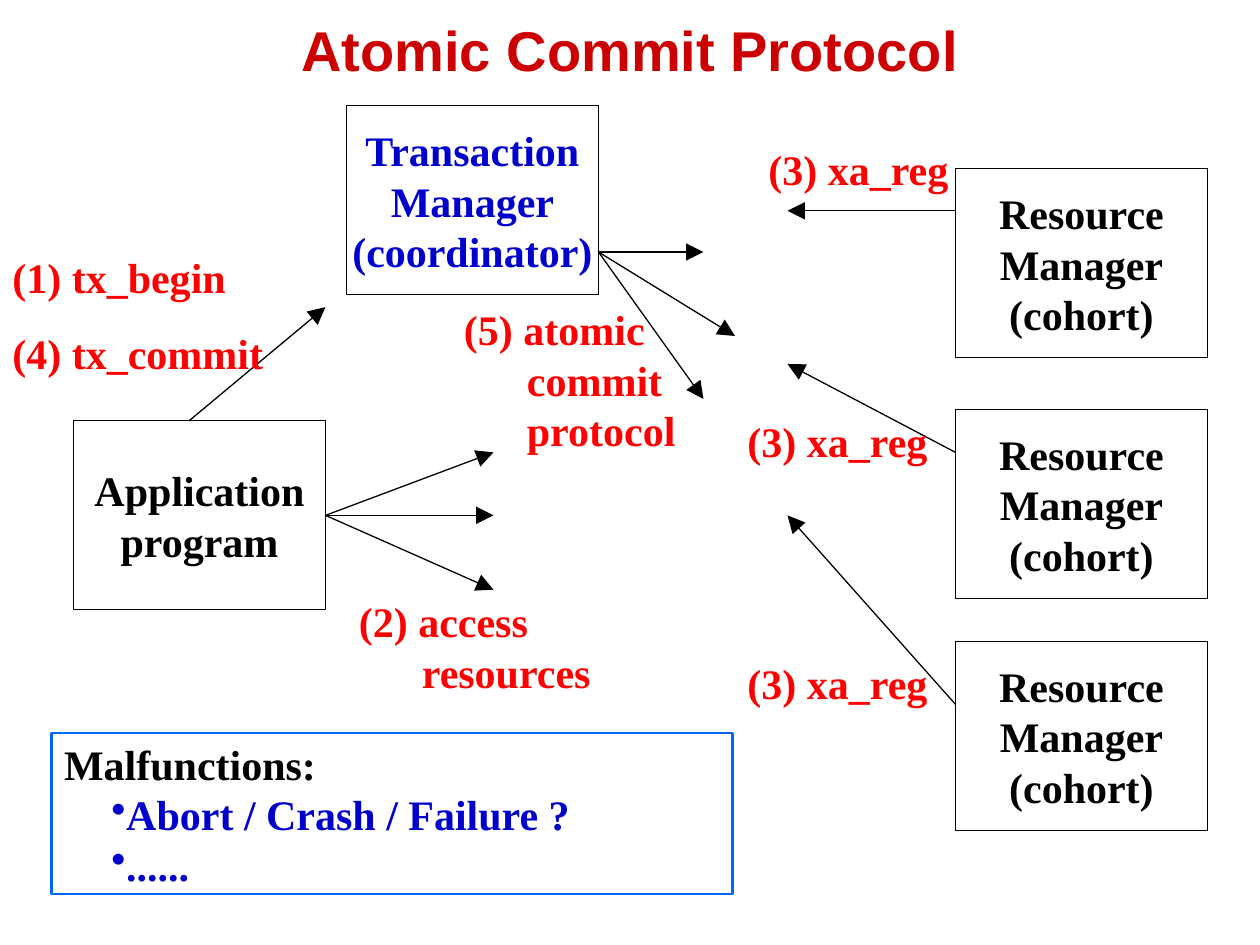
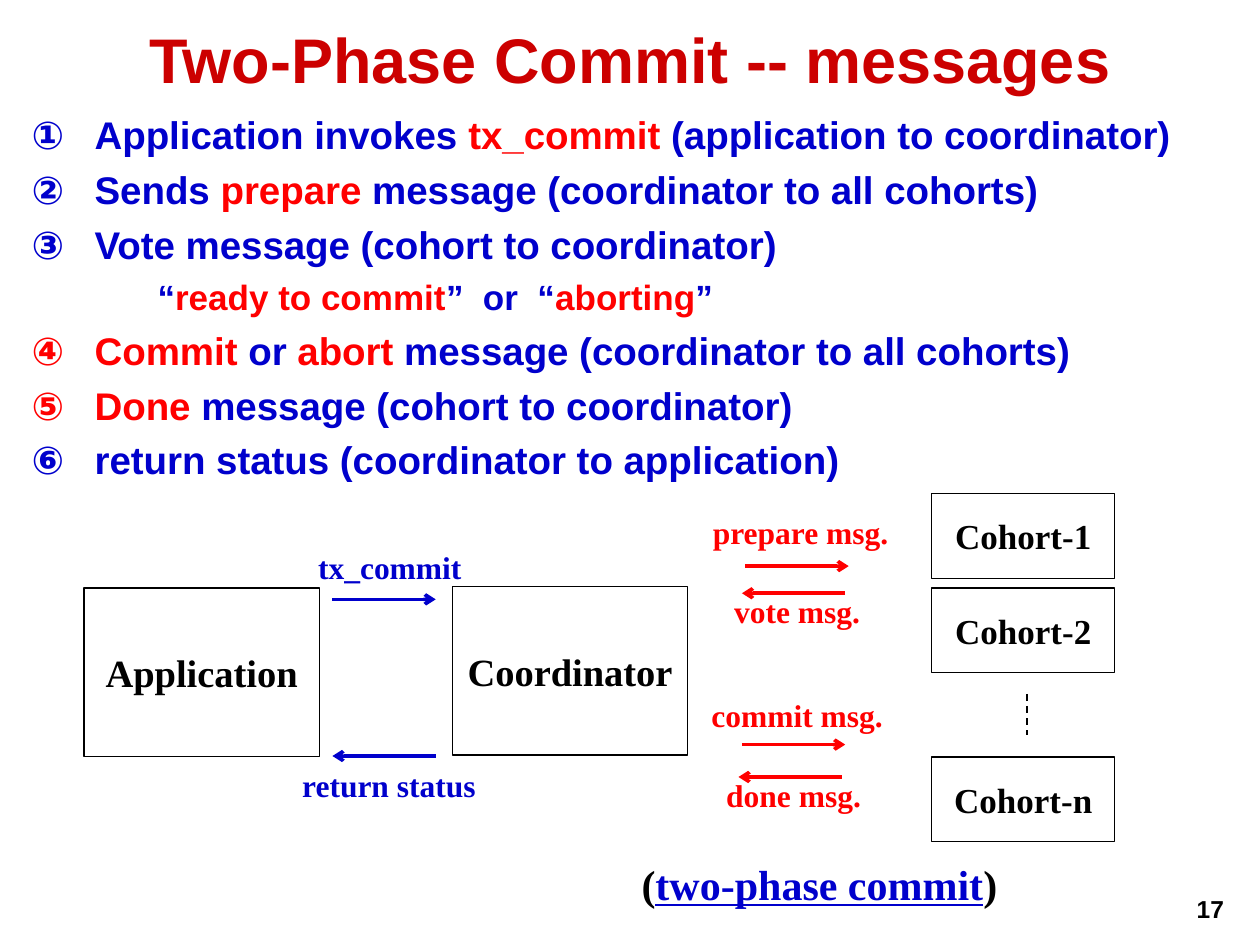
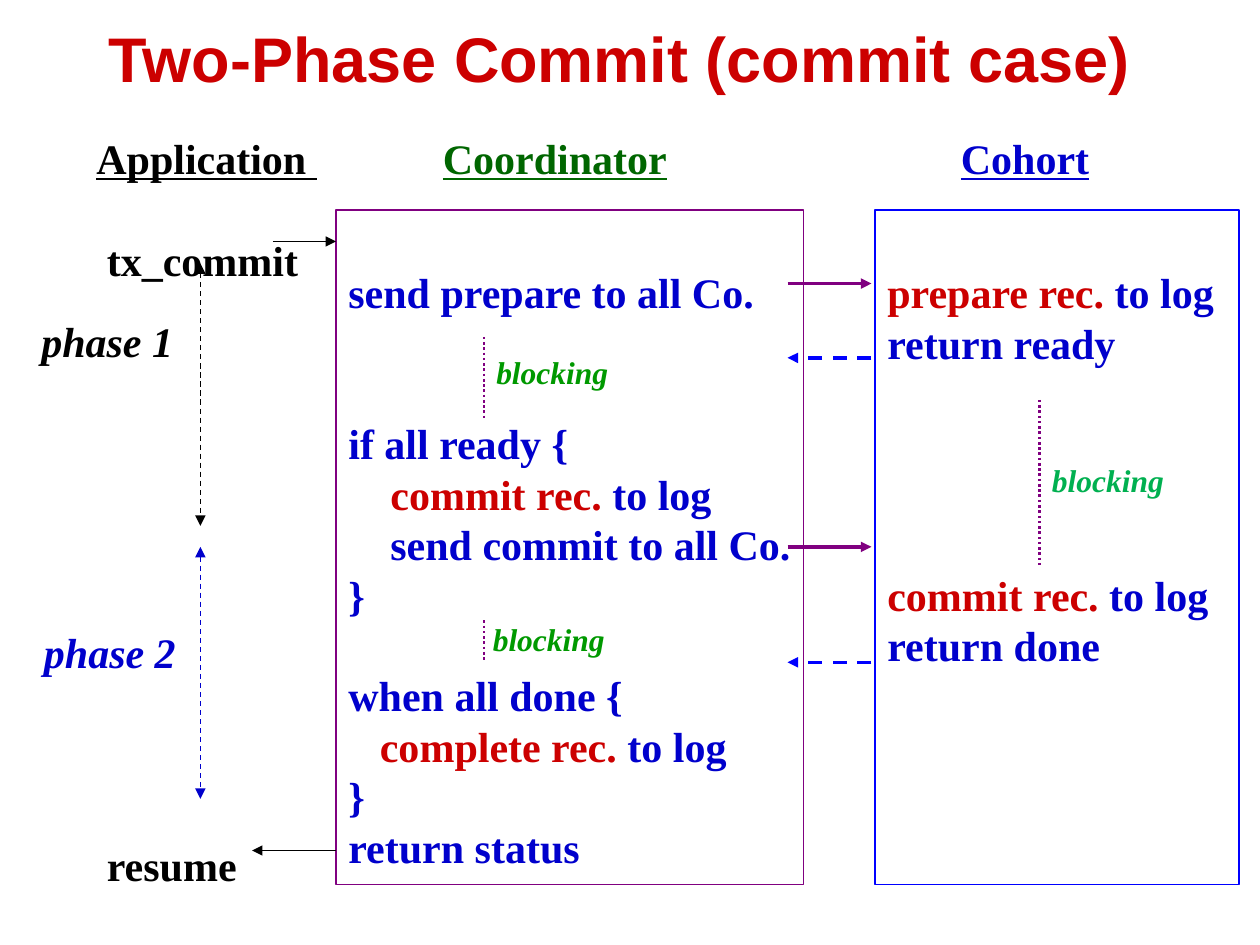
from lxml.etree import SubElement
from pptx import Presentation
from pptx.dml.color import RGBColor
from pptx.enum.dml import MSO_LINE
from pptx.enum.shapes import MSO_CONNECTOR, MSO_SHAPE
from pptx.enum.text import MSO_ANCHOR, PP_ALIGN
from pptx.oxml.ns import qn
from pptx.util import Pt

BLACK = RGBColor(0x00, 0x00, 0x00)
WHITE = RGBColor(0xFF, 0xFF, 0xFF)
TITLE_RED = RGBColor(0xCC, 0x00, 0x00)
RED = RGBColor(0xFF, 0x00, 0x00)
BLUE = RGBColor(0x00, 0x00, 0xCC)
PURE_BLUE = RGBColor(0x00, 0x00, 0xFF)
FRAME_BLUE = RGBColor(0x00, 0x66, 0xFF)
PURPLE = RGBColor(0x80, 0x00, 0x80)
DARK_GREEN = RGBColor(0x00, 0x66, 0x00)
GREEN = RGBColor(0x00, 0x99, 0x00)
BRIGHT_GREEN = RGBColor(0x00, 0xB0, 0x50)

SANS, SERIF = "Arial", "Times New Roman"
LINE = 28.8  # height of one 24-point line

# A paragraph is a string, or a dict whose "spans" are strings or
# (text, colour, underline) tuples, with optional spacing and indents.

# Slide 1: parties, calls and arrows
BOX_SIZE = (144, 108)
PROGRAM = ["Application", "program"]
MANAGER = ["Transaction", "Manager", "(coordinator)"]
RESOURCE = ["Resource", "Manager", "(cohort)"]
RESOURCE_LEFT, REGISTER_END = 546, 450
# box top, label position, arrow start height, arrow end height
REGISTRATIONS = [
    (96.5, (432, 78.5), 120.5, 120.5),
    (234, (420, 234), 258.5, 208),
    (366.5, (420, 372), 402.5, 294.5),
]
# arrow start, arrow ends
FANS = [
    ((342, 144), [(402, 144), (420, 192), (402, 228)]),
    ((108, 240.5), [(186, 175.5)]),
    ((186, 294.5), [(282, 258.5), (282, 294.5), (282, 337)]),
]
CALLS = [
    ((258, 170, 142, 94.5), ["(5) atomic", {"spans": ["commit"], "left": 36},
                             {"spans": ["protocol"], "left": 36}]),
    ((0, 126, 160, 94.5), [{"spans": ["(1) tx_begin"], "spacing": 1.5},
                           {"spans": ["(4) tx_commit"], "spacing": 1.5}]),
    ((198, 337, 156, 65.5), ["(2) access", {"spans": ["resources"], "left": 36}]),
]
MALFUNCTIONS = ["Malfunctions:"] + [
    {"spans": [(text, BLUE)], "first": 27, "bullet": "•"}
    for text in ("Abort / Crash / Failure ?", "......")
]

# Slide 2: steps and messages
STEPS = [
    ["Application invokes ", ("tx_commit", RED), " (application to coordinator)"],
    ["Sends ", ("prepare ", RED), "message (coordinator to all cohorts)"],
    ["Vote message (cohort to coordinator)"],
    ["“", ("ready to commit", RED), "”  or  “", ("aborting", RED), "”"],
    [("Commit ", RED), "or ", ("abort ", RED), "message (coordinator to all cohorts)"],
    [("Done ", RED), "message (cohort to coordinator)"],
    ["return status (coordinator to application)"],
]
VOTES_STEP = 3
NUMBERED = {"left": 36, "first": -36, "before": 5, "number": "circleNumDbPlain"}
UNNUMBERED = {"left": 72, "first": 0, "before": 5, "level": 2, "size": 20}
COHORTS = [("Cohort-1", 282), ("Cohort-2", 336), ("Cohort-n", 432.5)]
PARTIES = [("Application", 48, 336), ("Coordinator", 258.5, 335)]
# text, label left, top and width, arrow left and height, points right
COHORT_MESSAGES = [
    ("prepare msg.", 386.5, 293, 142, 426, 323.5, True),
    ("vote msg.", 384.5, 338.5, 142, 424, 339, False),
    ("commit msg.", 384.5, 398, 142, 424, 425.5, True),
    ("done msg.", 382.5, 443.5, 142, 422, 444, False),
]
APPLICATION_MESSAGES = [
    ("tx_commit", 170.5, 313, 104.5, 190, 342.5, True),
    ("return status", 152, 438, 140.5, 190, 432, False),
]
MESSAGE_ARROW = 59

# Slide 3: the commit case
# text, colour, left and width
HEADINGS = [("Application ", BLACK, 48, 150), ("Coordinator", DARK_GREEN, 246, 150),
            ("Cohort", BLUE, 542, 100)]
APPLICATION_STEPS = ["tx_commit", {"spans": ["resume"], "before": 11 * LINE}]
COORDINATOR_STEPS = [
    "send prepare to all Co.",
    {"spans": ["if all ready {"], "before": 2 * LINE},
    {"spans": [("commit rec. ", TITLE_RED), "to log"], "left": 24},
    {"spans": ["send commit to all Co."], "left": 24},
    "}",
    {"spans": ["when all done {"], "before": LINE},
    {"spans": [("complete rec. ", TITLE_RED), "to log"], "left": 18},
    "}",
    "return status",
]
COHORT_STEPS = [
    {"spans": [("prepare rec.", TITLE_RED), " to log"]},
    "return ready",
    {"spans": [("commit rec.", TITLE_RED), " to log"], "before": 4 * LINE},
    "return done",
]
# text, colour, label left and top, arrow top and bottom
PHASES = [("phase 1", BLACK, 16.5, 177, 150.5, 300.5),
          ("phase 2", BLUE, 18, 354.5, 312.5, 456.5)]
PHASE_X = 114.5
APPLICATION_ARROWS = [((156, 138), (192, 138)), ((192, 486), (144, 486))]
CHANNEL = (450, 498)
REQUEST_HEIGHTS = (162, 312.5)
REPLY_HEIGHTS = (204.5, 378.5)
# x, top and bottom of the wait, label position, label colour
WAITS = [
    (276.5, 192.5, 240.5, (276.5, 198), GREEN),
    (276.5, 354.5, 378, (274.5, 350.5), GREEN),
    (594, 228.5, 324, (594, 260), BRIGHT_GREEN),
]


def add_bullet(paragraph, tag, **attributes):
    """Give a paragraph a bullet or an automatic number."""
    SubElement(paragraph._p.get_or_add_pPr(), qn(tag), attributes)


def write(shape, paragraphs, size=24, colour=BLACK, font=SERIF, align=PP_ALIGN.LEFT,
          anchor=MSO_ANCHOR.TOP, wrap=False, italic=False, insets=(7.2, 3.6, 7.2, 3.6)):
    """Fill a shape with bold paragraphs."""
    frame = shape.text_frame
    frame.word_wrap = wrap
    frame.vertical_anchor = anchor
    (frame.margin_left, frame.margin_top,
     frame.margin_right, frame.margin_bottom) = map(Pt, insets)
    for index, content in enumerate(paragraphs):
        style = content if isinstance(content, dict) else {"spans": [content]}
        paragraph = frame.paragraphs[0] if index == 0 else frame.add_paragraph()
        paragraph.alignment = align
        paragraph.level = style.get("level", 0)
        paragraph.line_spacing = style.get("spacing")
        if "before" in style:
            paragraph.space_before = Pt(style["before"])
        properties = paragraph._p.get_or_add_pPr()
        properties.set("marL", str(Pt(style.get("left", 0))))
        properties.set("indent", str(Pt(style.get("first", 0))))
        if "bullet" in style:
            add_bullet(paragraph, "a:buChar", char=style["bullet"])
        if "number" in style:
            add_bullet(paragraph, "a:buAutoNum", type=style["number"])
        paragraph.font.name = font
        paragraph.font.size = Pt(style.get("size", size))
        paragraph.font.bold = True
        paragraph.font.italic = italic
        for part in style["spans"]:
            text, tint, *underline = part if isinstance(part, tuple) else (part, colour)
            span = paragraph.add_run()
            span.text = text
            span.font.color.rgb = tint
            if underline:
                span.font.underline = underline[0]


def add_label(page, place, paragraphs, **style):
    """Add a text box at (left, top, width, height)."""
    write(page.shapes.add_textbox(*map(Pt, place)), paragraphs, **style)


def add_box(page, place, paragraphs, fill=WHITE, outline=BLACK, weight=0.75, **style):
    """Add a rectangle with text."""
    box = page.shapes.add_shape(MSO_SHAPE.RECTANGLE, *map(Pt, place))
    box.shadow.inherit = False
    if fill is None:
        box.fill.background()
    else:
        box.fill.solid()
        box.fill.fore_color.rgb = fill
    if outline is None:
        box.line.fill.background()
    else:
        box.line.color.rgb = outline
        box.line.width = Pt(weight)
    write(box, paragraphs, **style)


def add_party(page, place, paragraphs, **style):
    """Add a rectangle with centred text."""
    add_box(page, place, paragraphs, align=PP_ALIGN.CENTER, anchor=MSO_ANCHOR.MIDDLE, **style)


def add_line(page, start, end, colour=BLACK, weight=0.75, dash=None,
             head=None, tail=None, head_size="med"):
    """Add a straight line, with arrowheads where asked."""
    line = page.shapes.add_connector(MSO_CONNECTOR.STRAIGHT, *map(Pt, (*start, *end)))
    line.line.color.rgb = colour
    line.line.width = Pt(weight)
    if dash is not None:
        line.line.dash_style = dash
    outline = line.line._get_or_add_ln()
    for tag, kind in (("a:headEnd", head), ("a:tailEnd", tail)):
        if kind:
            SubElement(outline, qn(tag), type=kind, w=head_size, len=head_size)
    SubElement(line._element.spPr, qn("a:effectLst"))


def add_page(deck, title, place, size=36):
    """Add a blank slide with its title."""
    page = deck.slides.add_slide(deck.slide_layouts[6])
    add_label(page, place, [title], size=size, colour=TITLE_RED, font=SANS,
              align=PP_ALIGN.CENTER, anchor=MSO_ANCHOR.MIDDLE, wrap=True)
    return page


def add_message(page, message, colour):
    """Add a message name and its arrow."""
    text, left, top, width, arrow_left, height, rightward = message
    add_box(page, (left, top, width, 21.6), [text], outline=None, size=18, colour=colour,
            align=PP_ALIGN.CENTER, wrap=True, insets=(7.2, 0, 7.2, 0))
    ends = [(arrow_left, height), (arrow_left + MESSAGE_ARROW, height)]
    start, end = ends if rightward else reversed(ends)
    add_line(page, start, end, colour, 2, tail="arrow")


def build_protocol(deck):
    """Build the slide on the atomic commit protocol."""
    page = add_page(deck, "Atomic Commit Protocol", (54, 1.5, 612, 53.5), 32)
    add_party(page, (42, 240.5, *BOX_SIZE), PROGRAM)
    add_party(page, (198, 60.5, *BOX_SIZE), MANAGER, colour=BLUE)
    for top, label, start, end in REGISTRATIONS:
        add_party(page, (RESOURCE_LEFT, top, *BOX_SIZE), RESOURCE)
        add_line(page, (RESOURCE_LEFT, start), (REGISTER_END, end),
                 tail="triangle", head_size="lg")
        add_label(page, (*label, 118, 36), ["(3) xa_reg"], colour=RED)
    for start, ends in FANS:
        for end in ends:
            add_line(page, start, end, tail="triangle", head_size="lg")
    for place, paragraphs in CALLS:
        add_label(page, place, paragraphs, colour=RED, wrap=True)
    add_box(page, (29.5, 419, 389, 92), MALFUNCTIONS, fill=None, outline=FRAME_BLUE,
            weight=1.5, wrap=True, insets=(7.2, 3, 7.2, 3))


def build_messages(deck):
    """Build the slide on the messages of two-phase commit."""
    page = add_page(deck, "Two-Phase Commit -- messages", (54, 8, 612, 51))
    add_label(page, (556.5, 507.5, 150, 21.6), ["17"], size=14, font=SANS,
              align=PP_ALIGN.RIGHT, wrap=True)
    steps = [{"spans": spans, **(UNNUMBERED if index == VOTES_STEP else NUMBERED)}
             for index, spans in enumerate(STEPS)]
    add_box(page, (11, 60, 695.5, 222), steps, outline=None, size=22, colour=BLUE,
            font=SANS, wrap=True)
    add_label(page, (359.5, 487, 256, 36),
              [{"spans": ["(", ("two-phase commit", BLUE, True), ")"]}], wrap=True)
    for name, top in COHORTS:
        add_party(page, (532.5, top, 104.5, 48.5), [name], size=20)
    add_line(page, (587, 396.5), (587, 420), weight=1, dash=MSO_LINE.DASH)
    for message in COHORT_MESSAGES:
        add_message(page, message, RED)
    for name, left, top in PARTIES:
        add_party(page, (left, top, 134.5, 96.5), [name], size=22)
    for message in APPLICATION_MESSAGES:
        add_message(page, message, BLUE)


def build_commit_case(deck):
    """Build the slide on the commit case."""
    page = add_page(deck, "Two-Phase Commit (commit case)", (24, 0, 660, 66))
    for text, colour, left, width in HEADINGS:
        add_label(page, (left, 72, width, 36), [{"spans": [(text, colour, True)]}], wrap=True)
    add_label(page, (54, 130.5, 124, 409.5), APPLICATION_STEPS, wrap=True)
    code = {"colour": BLUE, "wrap": True, "insets": (7.2, 3.6 + LINE, 0, 3.6)}
    add_box(page, (192, 120, 267, 385.5), COORDINATOR_STEPS, fill=None, outline=PURPLE, **code)
    add_box(page, (500, 120, 208, 385.5), COHORT_STEPS, outline=PURE_BLUE, **code)
    for start, end in APPLICATION_ARROWS:
        add_line(page, start, end, tail="triangle")
    for name, colour, left, label_top, top, bottom in PHASES:
        add_line(page, (PHASE_X, top), (PHASE_X, bottom), colour, dash=MSO_LINE.DASH,
                 head="triangle", tail="triangle")
        add_label(page, (left, label_top, 90, 36), [name], colour=colour, italic=True)
    near, far = CHANNEL
    for height in REQUEST_HEIGHTS:
        add_line(page, (near, height), (far, height), PURPLE, 2, tail="triangle")
    for height in REPLY_HEIGHTS:
        add_line(page, (far, height), (near, height), PURE_BLUE, 2, MSO_LINE.DASH,
                 tail="triangle")
    for x, top, bottom, label, colour in WAITS:
        add_line(page, (x, top), (x, bottom), PURPLE, 1.5, MSO_LINE.ROUND_DOT)
        add_label(page, (*label, 101.5, 29), ["blocking"], size=18, colour=colour,
                  italic=True, wrap=True)


deck = Presentation()
deck.slide_width, deck.slide_height = Pt(720), Pt(540)
build_protocol(deck)
build_messages(deck)
build_commit_case(deck)
deck.save("out.pptx")
